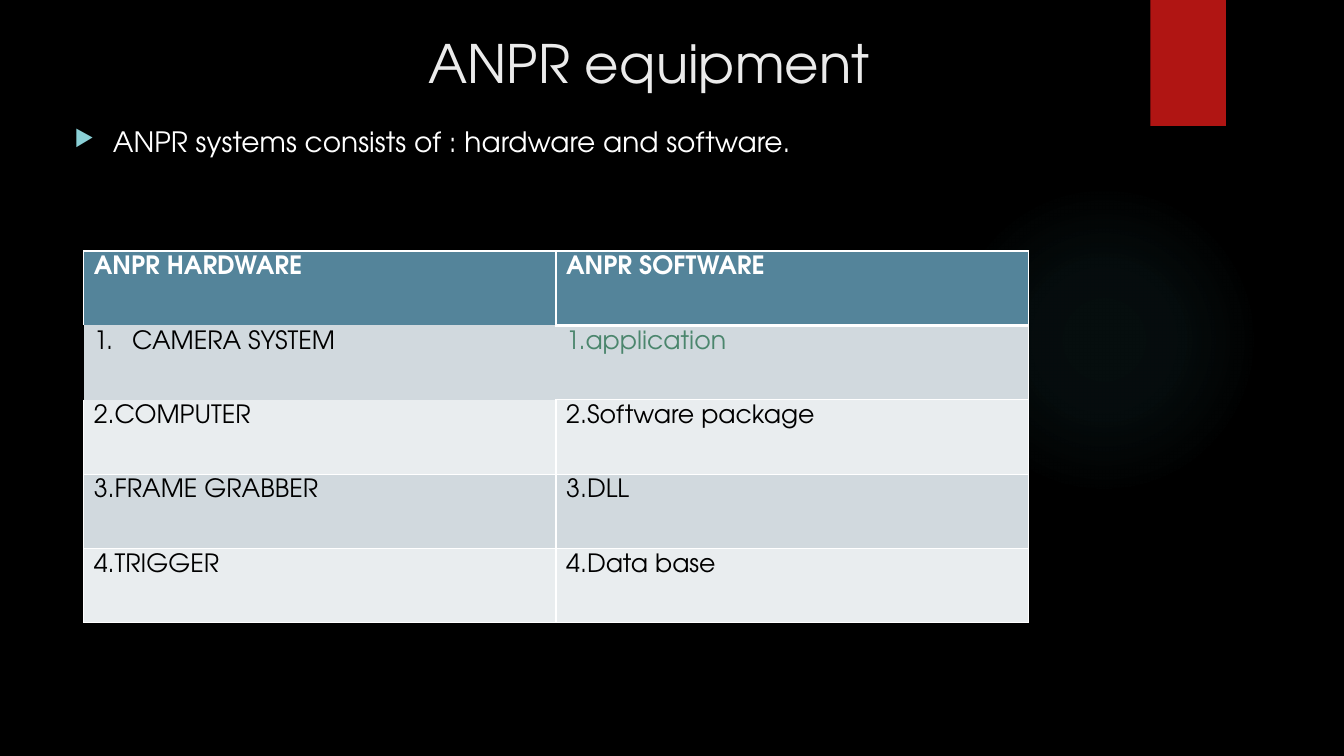
from dataclasses import dataclass

from lxml.etree import SubElement
from pptx import Presentation
from pptx.dml.color import RGBColor
from pptx.enum.shapes import MSO_SHAPE
from pptx.enum.text import MSO_ANCHOR, PP_ALIGN
from pptx.oxml import parse_xml
from pptx.oxml.ns import nsdecls, qn
from pptx.util import Inches, Pt

FONT = "TeX Gyre Adventor"
BLACK = RGBColor(0x00, 0x00, 0x00)
WHITE = RGBColor(0xFF, 0xFF, 0xFF)
TITLE_GREY = RGBColor(0xEB, 0xEB, 0xEB)
RED = RGBColor(0xB0, 0x15, 0x13)
GLOW = RGBColor(0x50, 0xB9, 0xC1)
BULLET = RGBColor(0x8A, 0xD0, 0xD6)
HEADER = RGBColor(0x54, 0x84, 0x9A)
DARK_BAND = RGBColor(0xD1, 0xD9, 0xDE)
LIGHT_BAND = RGBColor(0xE9, 0xED, 0xEF)
GREEN = RGBColor(0x4B, 0x86, 0x6D)
GLOW_STOPS = ((0, 7), (36, 6), (69, 0))
NO_TABLE_STYLE = "{2D5ABB26-0587-4C30-8999-92F81FD0307C}"


@dataclass(frozen=True)
class Entry:
    """One table cell: its text, colour, bordered sides and numbering."""

    text: str
    color: RGBColor = BLACK
    sides: str = "LRTB"
    bottom_width: int = 1
    numbered: bool = False


ROWS = (
    (Entry("ANPR HARDWARE", WHITE, "LRT"), Entry("ANPR SOFTWARE", WHITE, bottom_width=3)),
    (Entry("CAMERA SYSTEM", sides="", numbered=True), Entry("1.application", GREEN, "RB")),
    (Entry("2.COMPUTER", sides="LRB"), Entry("2.Software package")),
    (Entry("3.FRAME GRABBER"), Entry("3.DLL")),
    (Entry("4.TRIGGER"), Entry("4.Data base")),
)


def add_span(para, text: str, size: float, color: RGBColor, bold: bool = False) -> None:
    """Add one formatted run to a paragraph."""
    span = para.add_run()
    span.text = text
    span.font.name = FONT
    span.font.size = Pt(size)
    span.font.bold = bold
    span.font.color.rgb = color


def hang_indent(para):
    """Give a paragraph a hanging indent and return its properties."""
    properties = para._p.get_or_add_pPr()
    properties.set("marL", str(Inches(0.38)))
    properties.set("indent", str(-Inches(0.38)))
    return properties


def add_plain_shape(page, kind: MSO_SHAPE, left: float, top: float, width: float, height: float):
    """Add a shape without outline or shadow."""
    shape = page.shapes.add_shape(kind, Inches(left), Inches(top), Inches(width), Inches(height))
    shape.shadow.inherit = False
    shape.line.fill.background()
    return shape


def add_glow(page) -> None:
    """Add the faint radial glow on the right."""
    glow = add_plain_shape(page, MSO_SHAPE.OVAL, 9.41, 1.83, 3.08, 3.08)
    stops = "".join(
        f'<a:gs pos="{place * 1000}"><a:srgbClr val="{GLOW}">'
        f'<a:alpha val="{opacity * 1000}"/></a:srgbClr></a:gs>'
        for place, opacity in GLOW_STOPS
    )
    gradient = parse_xml(
        f'<a:gradFill {nsdecls("a")} rotWithShape="1"><a:gsLst>{stops}</a:gsLst>'
        '<a:path path="circle"><a:fillToRect l="50000" t="50000" r="50000" b="50000"/>'
        "</a:path></a:gradFill>"
    )
    glow._element.spPr.find(qn("a:prstGeom")).addnext(gradient)


def add_title(page) -> None:
    """Place and fill the title."""
    title = page.shapes.title
    title.left, title.top = Inches(1.39), Inches(0.23)
    title.width, title.height = Inches(9.26), Inches(0.77)
    frame = title.text_frame
    frame.margin_left = Inches(2.86)
    frame.vertical_anchor = MSO_ANCHOR.MIDDLE
    para = frame.paragraphs[0]
    para.alignment = PP_ALIGN.LEFT
    add_span(para, "ANPR equipment", 37.8, TITLE_GREY)


def add_statement(page) -> None:
    """Add the bulleted sentence under the title."""
    box = page.shapes.add_textbox(Inches(0.64), Inches(1.19), Inches(10.48), Inches(5.31))
    box.text_frame.word_wrap = True
    para = box.text_frame.paragraphs[0]
    para.space_before = Pt(10)
    properties = hang_indent(para)
    color = SubElement(properties, qn("a:buClr"))
    SubElement(color, qn("a:srgbClr"), val=str(BULLET))
    SubElement(properties, qn("a:buSzPct"), val="80000")
    SubElement(properties, qn("a:buChar"), char="▶")
    add_span(para, "ANPR systems consists of : hardware and software.", 20, WHITE)


def fill_cell(cell, entry: Entry, fill: RGBColor, bold: bool) -> None:
    """Write, border and fill one table cell."""
    properties = cell._tc.get_or_add_tcPr()
    for side in entry.sides:
        width = entry.bottom_width if side == "B" else 1
        line = SubElement(properties, qn(f"a:ln{side}"), w=str(Pt(width)))
        solid = SubElement(line, qn("a:solidFill"))
        SubElement(solid, qn("a:srgbClr"), val=str(WHITE))
    cell.fill.solid()
    cell.fill.fore_color.rgb = fill
    para = cell.text_frame.paragraphs[0]
    if entry.numbered:
        SubElement(hang_indent(para), qn("a:buAutoNum"), type="arabicPeriod")
    add_span(para, entry.text, 18, entry.color, bold)


def add_equipment_table(page) -> None:
    """Add the hardware and software table."""
    frame = page.shapes.add_table(
        len(ROWS), 2, Inches(0.83), Inches(2.49), Inches(9.37), Inches(3.69)
    )
    table = frame.table
    table._tbl.tblPr.find(qn("a:tableStyleId")).text = NO_TABLE_STYLE
    table.horz_banding = False
    for row, entries in enumerate(ROWS):
        band = DARK_BAND if row % 2 else LIGHT_BAND
        for column, entry in enumerate(entries):
            fill_cell(table.cell(row, column), entry, band if row else HEADER, row == 0)


def main() -> None:
    """Build the slide and save it."""
    deck = Presentation()
    deck.slide_width, deck.slide_height = Inches(13.33), Inches(7.5)
    page = deck.slides.add_slide(deck.slide_layouts[5])
    page.background.fill.solid()
    page.background.fill.fore_color.rgb = BLACK
    add_glow(page)
    ribbon = add_plain_shape(page, MSO_SHAPE.RECTANGLE, 11.41, 0, 0.75, 1.25)
    ribbon.fill.solid()
    ribbon.fill.fore_color.rgb = RED
    add_title(page)
    add_statement(page)
    add_equipment_table(page)
    deck.save("out.pptx")


if __name__ == "__main__":
    main()
